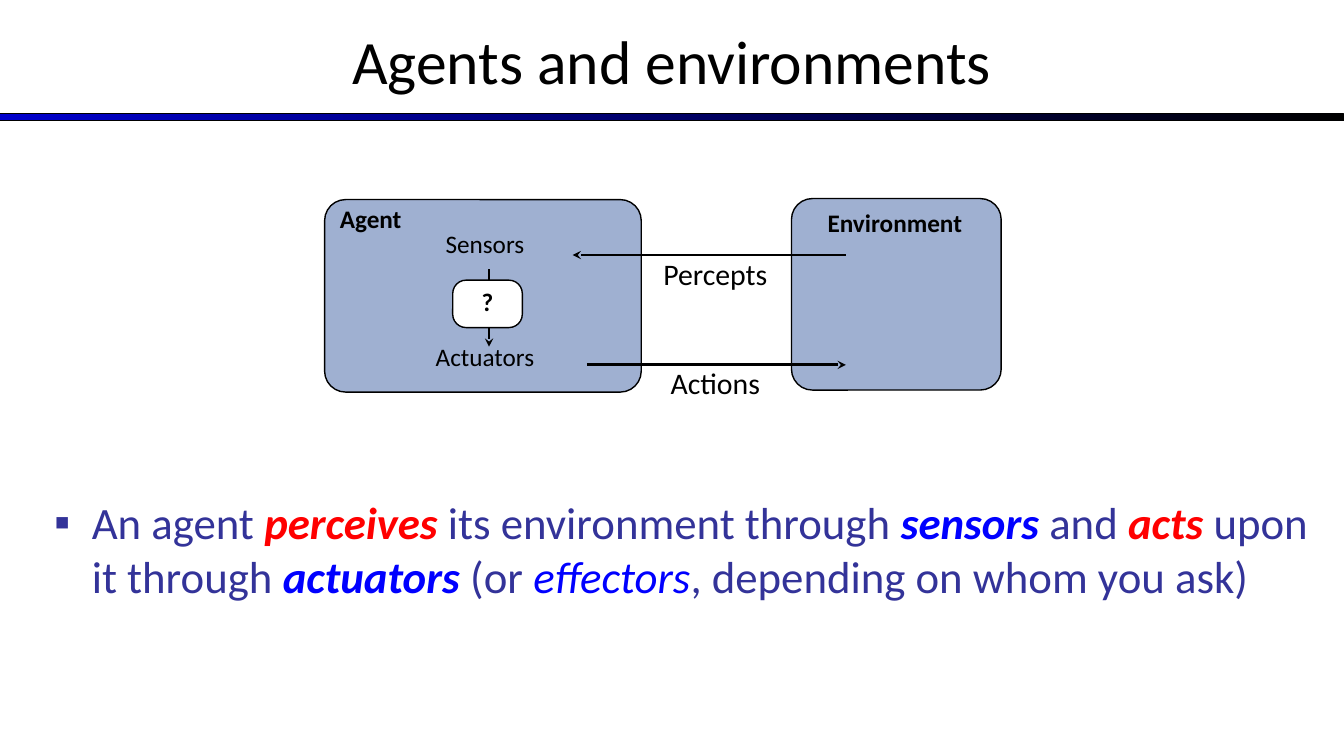
from lxml.etree import SubElement
from pptx import Presentation
from pptx.dml.color import RGBColor
from pptx.enum.shapes import MSO_CONNECTOR, MSO_SHAPE
from pptx.enum.text import MSO_ANCHOR, MSO_AUTO_SIZE, PP_ALIGN
from pptx.oxml.ns import qn
from pptx.util import Inches, Pt

COLORS = {"black": "000000", "white": "FFFFFF", "indigo": "333399", "red": "FF0000",
          "blue": "0000FF", "bar": "0000CC", "box": "9FB0D1"}

# Content
TITLE = "Agents and environments"
BODY = [
    ("An agent ", {}),
    ("perceives", {"color": "red", "bold": True, "italic": True}),
    (" its environment through ", {}),
    ("sensors", {"color": "blue", "bold": True, "italic": True}),
    (" and ", {}),
    ("acts", {"color": "red", "bold": True, "italic": True}),
    (" upon it through ", {}),
    ("actuators", {"color": "blue", "bold": True, "italic": True}),
    (" (or ", {}),
    ("effectors", {"color": "blue", "italic": True}),
    (", depending on whom you ask)", {}),
]
# Boxes: position and size, corner, fill
AGENT = ((3.22, 1.98, 3.14, 1.91), 0.109, "box")
QUESTION = ((4.49, 2.78, 0.69, 0.47), 0.281, "white")
ENVIRONMENT = ((7.85, 1.97, 2.08, 1.9), 0.109, "box")
# Arrows: tail, head
SENSE_TO_ACT = ((4.85, 2.67), (4.85, 3.44))
PERCEPTS = ((8.39, 2.53), (5.68, 2.53))
ACTIONS = ((5.82, 3.62), (8.39, 3.62))
# Labels: text, position and size, format
LABELS = [
    ("Agent", (3.33, 2.02, 1.15, 0.51), {"bold": True, "align": PP_ALIGN.LEFT}),
    ("?", (4.72, 2.84, 0.24, 0.41), {"bold": True}),
    ("Sensors", (4.1, 2.27, 1.43, 0.53), {}),
    ("Actuators", (4.01, 3.39, 1.61, 0.43), {}),
    ("Environment", (7.7, 2.06, 2.36, 0.51), {"bold": True}),
    ("Percepts", (6.41, 2.54, 1.38, 0.39), {"size": 21.3}),
    ("Actions", (6.51, 3.62, 1.18, 0.44), {"size": 21.3}),
]


def rgb(name):
    return RGBColor.from_string(COLORS[name])


def add_text(p, text, size=18, color="black", bold=False, italic=False,
             align=PP_ALIGN.CENTER):
    p.alignment = align
    r = p.add_run()
    r.text = text
    f = r.font
    f.name, f.size, f.bold, f.italic = "Calibri", Pt(size), bold, italic
    f.color.rgb = rgb(color)


def place(sp, box):
    sp.left, sp.top, sp.width, sp.height = [Inches(v) for v in box]


def set_frame(tf, anchor, insets):
    tf.word_wrap = True
    tf.auto_size = MSO_AUTO_SIZE.NONE
    tf.vertical_anchor = anchor
    tf.margin_left, tf.margin_top, tf.margin_right, tf.margin_bottom = [
        Inches(v) for v in insets]


def add_box(s, kind, box, line_width):
    sp = s.shapes.add_shape(kind, *[Inches(v) for v in box])
    sp.shadow.inherit = False
    sp.line.color.rgb = rgb("black")
    sp.line.width = Pt(line_width)
    return sp


def add_round_box(s, box, corner, fill):
    sp = add_box(s, MSO_SHAPE.ROUNDED_RECTANGLE, box, 1)
    sp.adjustments[0] = corner
    sp.fill.solid()
    sp.fill.fore_color.rgb = rgb(fill)


def add_arrow(s, tail, head):
    c = s.shapes.add_connector(MSO_CONNECTOR.STRAIGHT,
                               *[Inches(v) for v in tail + head])
    c.line.color.rgb = rgb("black")
    c.line.width = Pt(2)
    SubElement(c.line._get_or_add_ln(), qn("a:tailEnd"), type="stealth")
    SubElement(c._element.spPr, qn("a:effectLst"))


prs = Presentation()
prs.slide_width, prs.slide_height = Inches(13.33), Inches(7.5)
s = prs.slides.add_slide(prs.slide_layouts[1])
title, body = s.shapes.title, s.placeholders[1]

# Title and the bar under it
place(title, (0, -0.03, 13.33, 1.25))
set_frame(title.text_frame, MSO_ANCHOR.MIDDLE, (0.1, 0.05, 0.1, 0.05))
add_text(title.text_frame.paragraphs[0], TITLE, size=44)

bar = add_box(s, MSO_SHAPE.RECTANGLE, (0, 1.13, 13.33, 0.07), 0.75)
bar.fill.gradient()
bar.fill.gradient_angle = 0
for stop, position, color in zip(bar.fill.gradient_stops, (0, 1), ("bar", "black")):
    stop.position = position
    stop.color.rgb = rgb(color)

# Bulleted sentence
place(body, (0.44, 4.86, 12.89, 1.84))
set_frame(body.text_frame, MSO_ANCHOR.TOP, (0.1, 0.05, 0.1, 0.05))
p = body.text_frame.paragraphs[0]
p.space_before = Pt(0)
pPr = p._p.get_or_add_pPr()
pPr.set("marL", str(Inches(0.37)))
pPr.set("indent", str(-Inches(0.37)))
SubElement(SubElement(pPr, qn("a:buClr")), qn("a:srgbClr"), val=COLORS["indigo"])
SubElement(pPr, qn("a:buFont"), typeface="Calibri")
SubElement(pPr, qn("a:buChar"), char="▪")
for text, style in BODY:
    add_text(p, text, **{"size": 32, "color": "indigo", "align": PP_ALIGN.LEFT, **style})

# Diagram, from back to front
add_round_box(s, *AGENT)
add_arrow(s, *SENSE_TO_ACT)
add_round_box(s, *QUESTION)
add_round_box(s, *ENVIRONMENT)
add_arrow(s, *PERCEPTS)
add_arrow(s, *ACTIONS)
for text, box, style in LABELS:
    tb = s.shapes.add_textbox(*[Inches(v) for v in box])
    set_frame(tb.text_frame, MSO_ANCHOR.TOP, (0.04, 0, 0.05, 0))
    add_text(tb.text_frame.paragraphs[0], text, **style)

prs.save("out.pptx")
